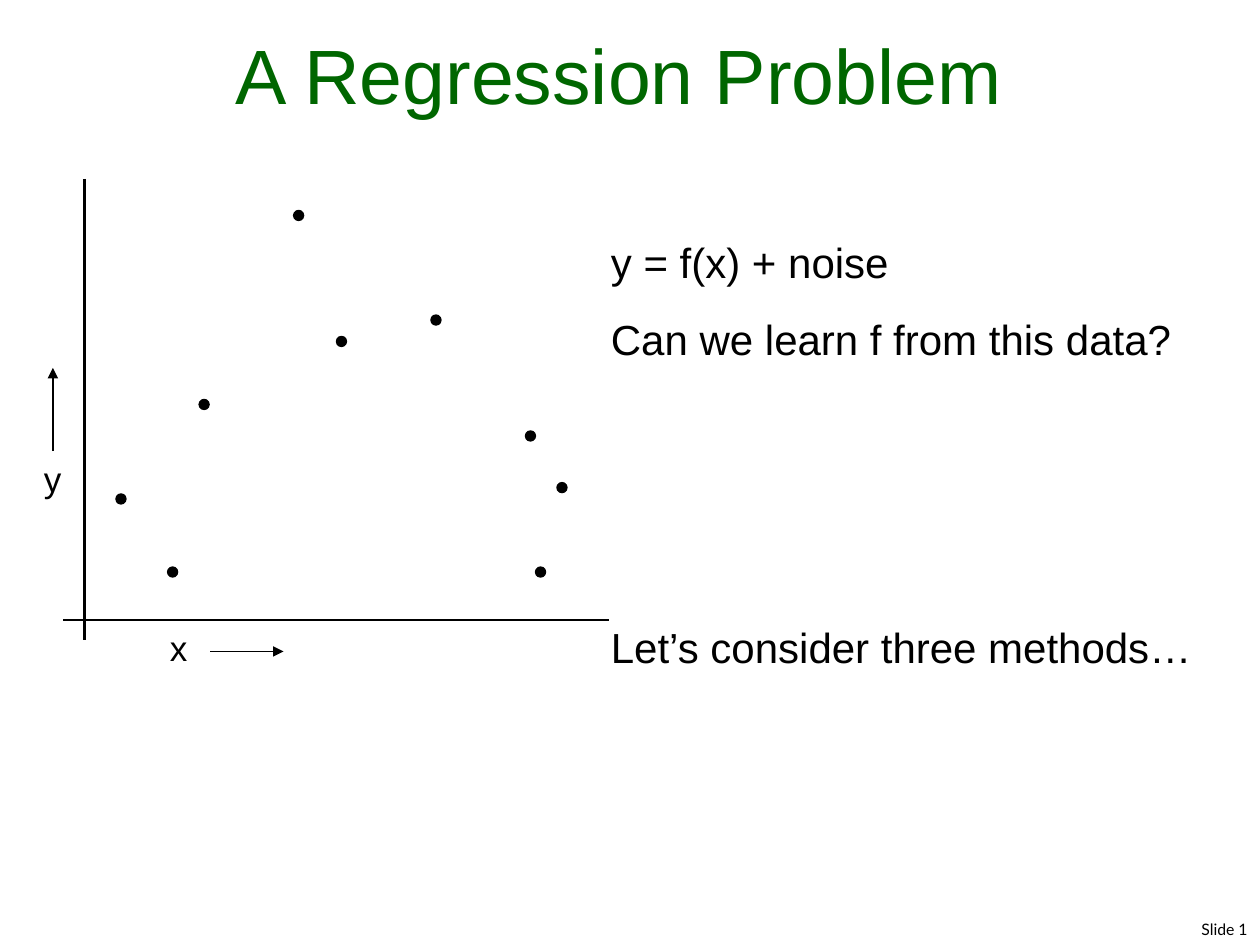
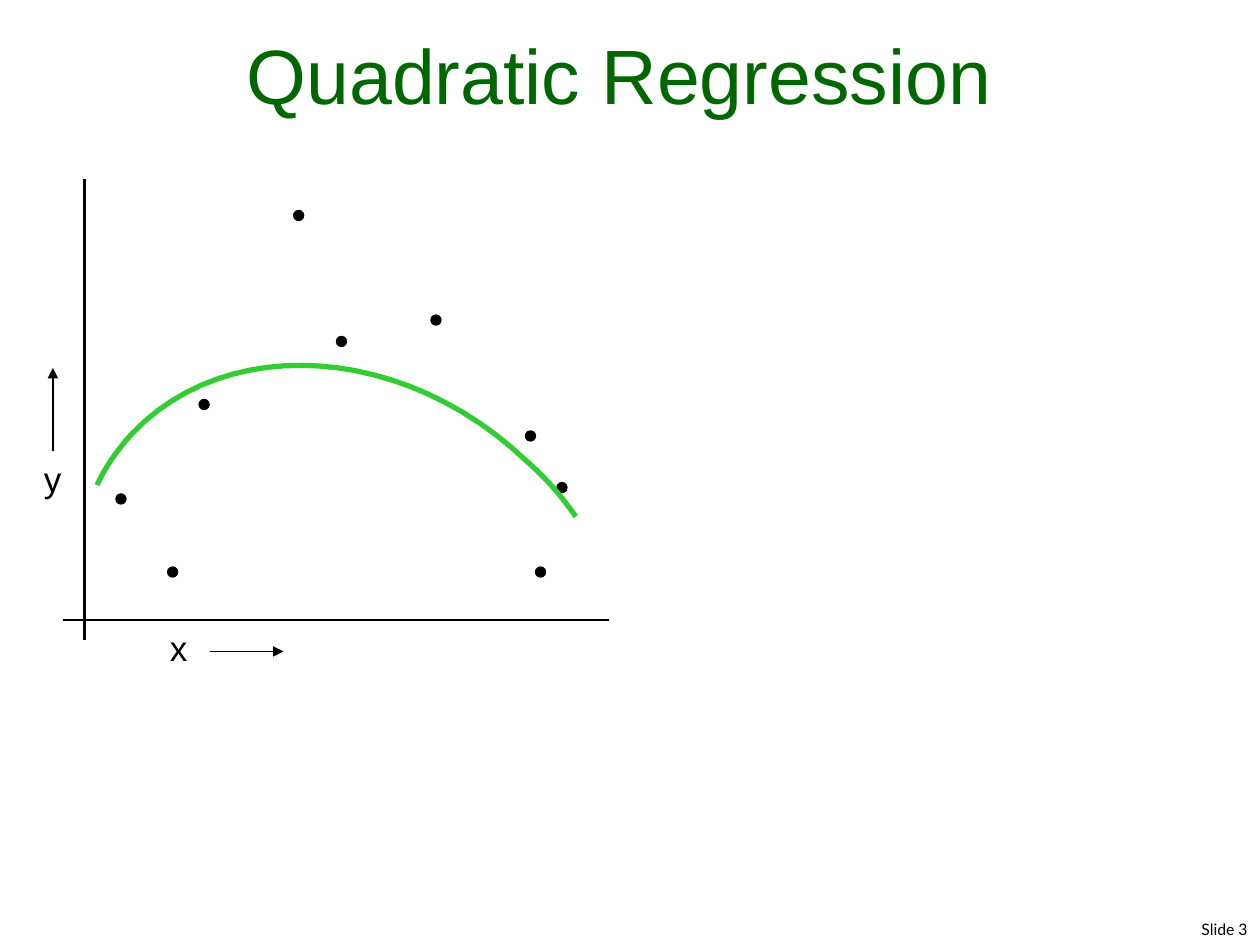
from lxml import etree
from pptx import Presentation
from pptx.dml.color import RGBColor
from pptx.enum.shapes import MSO_CONNECTOR, MSO_SHAPE
from pptx.enum.text import MSO_ANCHOR, MSO_AUTO_SIZE, PP_ALIGN
from pptx.oxml.ns import qn
from pptx.util import Inches, Pt

LINE, DOT = MSO_CONNECTOR.STRAIGHT, MSO_SHAPE.OVAL
LEFT, MID, RIGHT = PP_ALIGN.LEFT, PP_ALIGN.CENTER, PP_ALIGN.RIGHT
BOTTOM, FIXED = MSO_ANCHOR.BOTTOM, MSO_AUTO_SIZE.NONE
BLACK = RGBColor(0x00, 0x00, 0x00)
GREEN = RGBColor(0x00, 0x66, 0x00)
LIME = RGBColor(0x33, 0xCC, 0x33)

PAGES = [("A Regression Problem", "Slide 1"), ("Quadratic Regression", "Slide 3")]
# From, to, width in points, arrowhead
LINES = [
    ((0.67, 1.42), (0.67, 5.08), 1.5, False),
    ((0.5, 4.92), (4.83, 4.92), 1.5, False),
    ((1.67, 5.17), (2.25, 5.17), 0.75, True),
    ((0.42, 3.58), (0.42, 2.92), 0.75, True),
]
DATA = [(0.92, 3.92), (1.33, 4.5), (1.58, 3.17), (2.33, 1.67), (2.67, 2.67),
        (3.42, 2.5), (4.25, 4.5), (4.42, 3.83), (4.17, 3.42)]
AXES = [("x", 1.25, 4.92), ("y", 0.25, 3.58)]
# Text and space before in points
NOTES = [("y = f(x) + noise", 0), ("Can we learn f from this data?", 15),
         ("Let’s consider three methods…", 147)]
# Bezier pieces of the fitted curve, each starting where the last one ends
START = (4.57, 4.1)
CURVE = [
    ((4.46, 3.94), (4.33, 3.79), (4.18, 3.66)),
    ((3.22, 2.74), (1.81, 2.64), (1.05, 3.44)),
    ((0.94, 3.56), (0.84, 3.7), (0.77, 3.85)),
]
STEPS = 24


def write(para, text, size, color=BLACK, align=LEFT, face="Arial"):
    para.alignment = align
    run = para.add_run()
    run.text = text
    run.font.size = Pt(size)
    run.font.name = face
    run.font.color.rgb = color


def add_box(slide, left, top, width, height):
    """Add a wrapping text box and return its text frame."""
    box = slide.shapes.add_textbox(Inches(left), Inches(top), Inches(width), Inches(height))
    box.text_frame.word_wrap = True
    return box.text_frame


deck = Presentation()
deck.slide_width, deck.slide_height = Inches(10), Inches(7.5)

for head, foot in PAGES:
    slide = deck.slides.add_slide(deck.slide_layouts[5])
    title = slide.shapes.title
    title.left, title.top = Inches(0.25), Inches(0.17)
    title.width, title.height = Inches(9.33), Inches(0.83)
    frame = title.text_frame
    frame.auto_size = FIXED
    frame.vertical_anchor = BOTTOM
    write(frame.paragraphs[0], head, 44, GREEN, MID)

    frame = add_box(slide, 6.08, 7.25, 3.92, 0.27)
    write(frame.paragraphs[0], foot, 9, align=RIGHT, face="Lato")

    for tail, tip, width, arrow in LINES:
        line = slide.shapes.add_connector(LINE, *map(Inches, tail + tip))
        line.line.color.rgb = BLACK
        line.line.width = Pt(width)
        props = line._element.spPr
        etree.SubElement(props, qn("a:effectLst"))
        if arrow:
            etree.SubElement(props.find(qn("a:ln")), qn("a:tailEnd"), type="triangle")

    for x, y in DATA:
        dot = slide.shapes.add_shape(DOT, Inches(x), Inches(y), Inches(0.08), Inches(0.08))
        dot.shadow.inherit = False
        dot.fill.solid()
        dot.fill.fore_color.rgb = BLACK
        dot.line.color.rgb = BLACK
        dot.line.width = Pt(0.75)

    for name, x, y in AXES:
        write(add_box(slide, x, y, 0.33, 0.44).paragraphs[0], name, 20)

first, second = deck.slides

frame = add_box(first, 4.75, 1.83, 5.08, 3.54)
for i, (text, gap) in enumerate(NOTES):
    para = frame.add_paragraph() if i else frame.paragraphs[0]
    if gap:
        para.space_before = Pt(gap)
    write(para, text, 24)

points = [START]
for b, c, d in CURVE:
    a = points[-1]
    for step in range(1, STEPS + 1):
        t = step / STEPS
        u = 1 - t
        points.append(tuple(
            u**3 * a[k] + 3 * u**2 * t * b[k] + 3 * u * t**2 * c[k] + t**3 * d[k]
            for k in (0, 1)))
spots = [(Inches(x), Inches(y)) for x, y in points]
path = second.shapes.build_freeform(*spots[0])
path.add_line_segments(spots[1:], close=False)
curve = path.convert_to_shape()
curve.shadow.inherit = False
curve.fill.background()
curve.line.color.rgb = LIME
curve.line.width = Pt(3)

deck.save("out.pptx")
